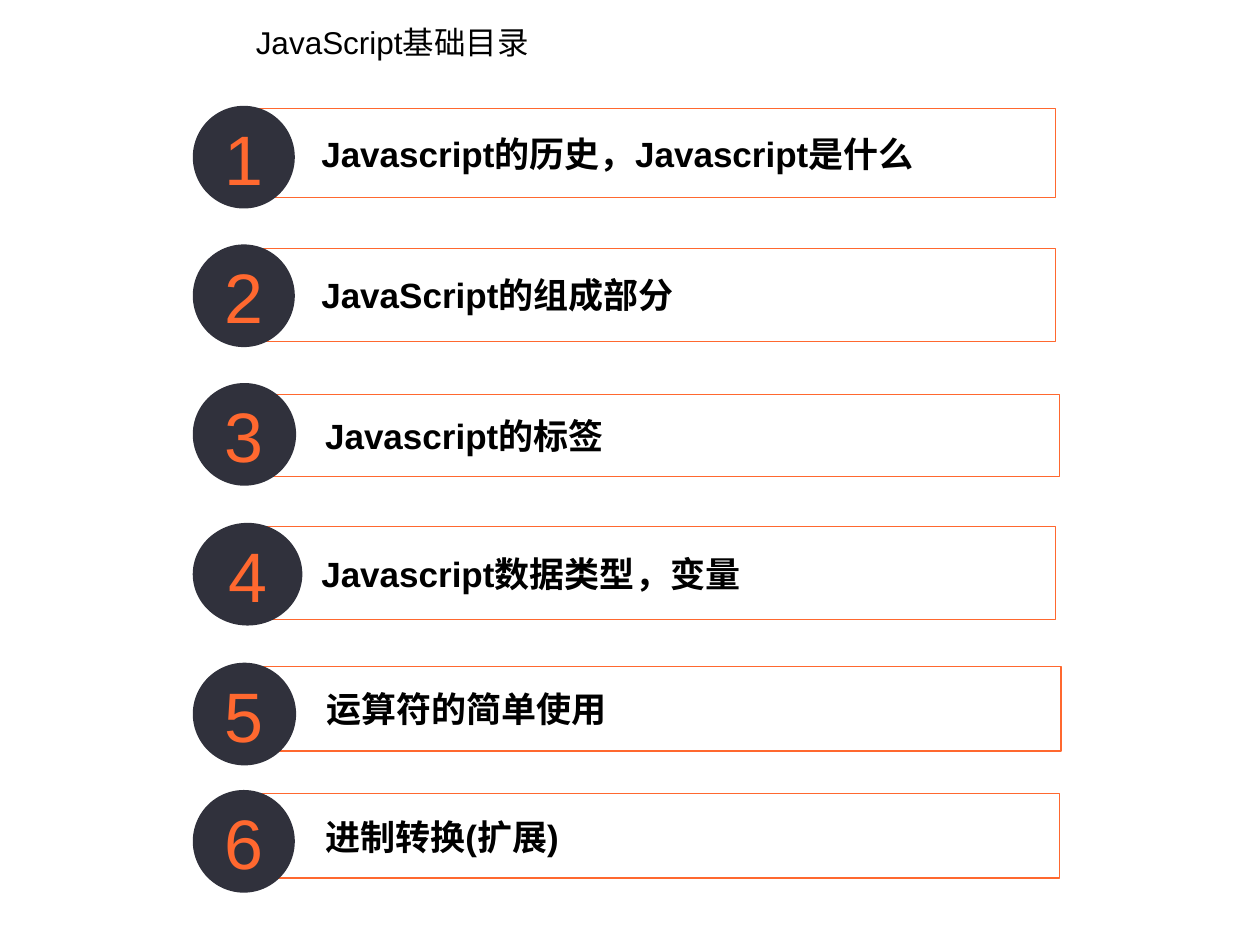
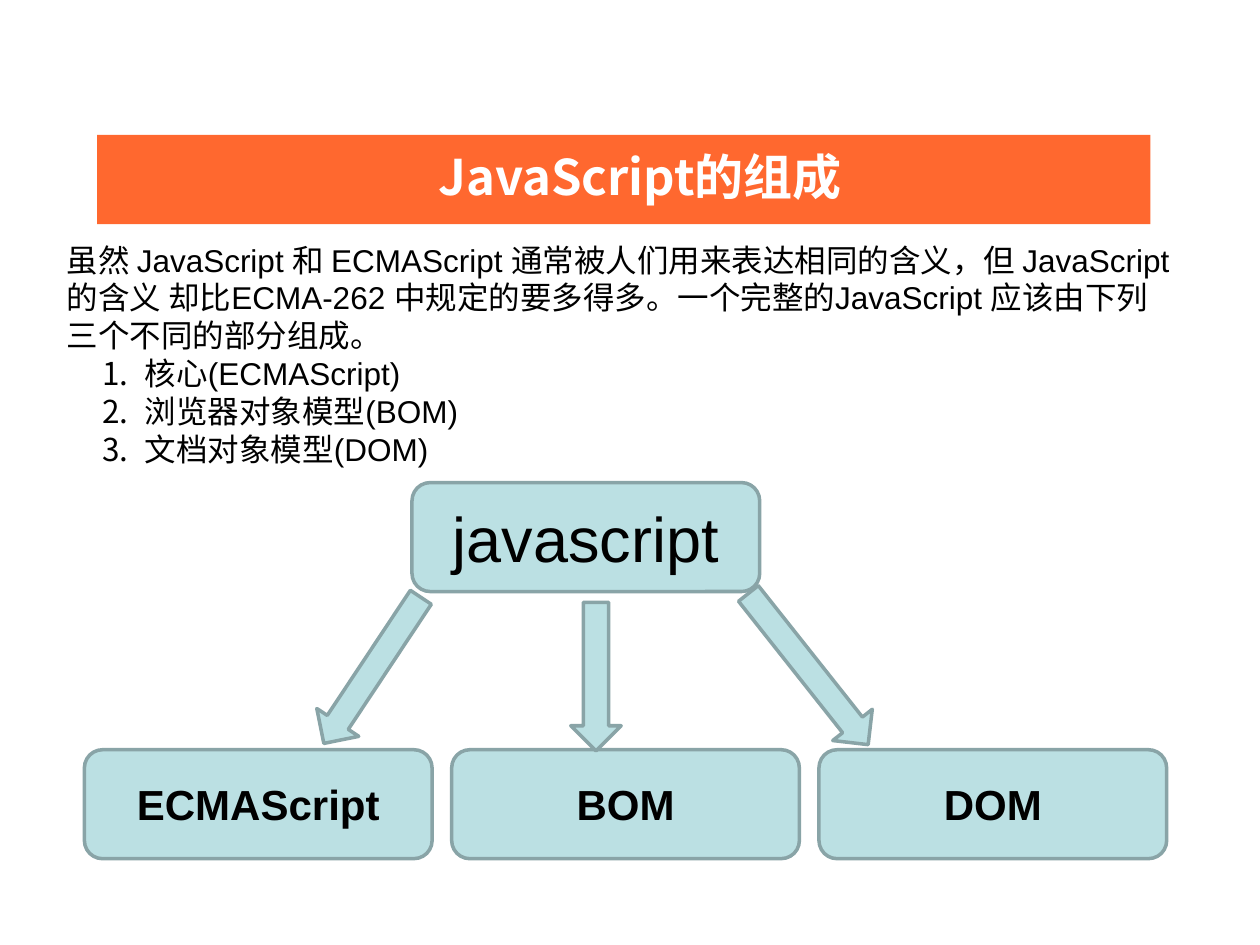
from dataclasses import dataclass
from math import atan2, degrees, hypot

from lxml.etree import SubElement
from pptx import Presentation
from pptx.dml.color import RGBColor
from pptx.enum.shapes import MSO_SHAPE as Shape
from pptx.enum.text import MSO_ANCHOR as Anchor, MSO_AUTO_SIZE as AutoSize, PP_ALIGN as Align
from pptx.oxml.ns import qn
from pptx.util import Emu, Inches, Pt


@dataclass(frozen=True)
class Theme:
    orange: str = "FF682F"
    dark: str = "30313C"
    white: str = "FFFFFF"
    black: str = "000000"
    pale_blue: str = "BBE0E3"
    blue_edge: str = "89A4A7"
    latin: str = "Arial"
    chinese: str = "Noto Sans CJK SC"
    text_size: int = 18
    entry_size: int = 20
    branch_size: int = 24
    heading_size: int = 28
    root_size: int = 36
    number_size: int = 40


THEME = Theme()
WIDTH, HEIGHT = Inches(10), Inches(7.5)
COLUMNS, ROWS = 100, 75  # square grid cells

# Contents entries: label, bar column, bar row, bar height, badge row, badge width
ENTRIES = [
    ("Javascript的历史，Javascript是什么", 19, 8.6, 7.1, 8.4, 8.1),
    ("JavaScript的组成部分", 19, 19.7, 7.4, 19.4, 8.1),
    ("Javascript的标签", 19.3, 31.3, 6.5, 30.4, 8.2),
    ("Javascript数据类型，变量", 19, 41.8, 7.4, 41.5, 8.7),
    ("运算符的简单使用", 19.4, 52.9, 6.7, 52.6, 8.2),
    ("进制转换(扩展)", 19.3, 63, 6.7, 62.7, 8.1),
]
INTRO = ("虽然 JavaScript 和 ECMAScript 通常被人们用来表达相同的含义，但 JavaScript 的含义 "
         "却比ECMA-262 中规定的要多得多。一个完整的JavaScript 应该由下列三个不同的部分组成。")
PARTS = ["核心(ECMAScript)", "浏览器对象模型(BOM)", "文档对象模型(DOM)"]
BRANCHES = ["ECMAScript", "BOM", "DOM"]
# Arrow tail and tip, as (column, row)
ARROWS = [((33.4, 47.4), (25.7, 59)), ((59.4, 47.1), (68.9, 59.1)),
          ((47.3, 47.8), (47.3, 59.6))]


def grid(column, row, columns, rows):
    """Turn grid cells into left, top, width and height."""
    return (Emu(int(WIDTH * column / COLUMNS)), Emu(int(HEIGHT * row / ROWS)),
            Emu(int(WIDTH * columns / COLUMNS)), Emu(int(HEIGHT * rows / ROWS)))


def rgb(color):
    return RGBColor.from_string(color)


def style(paragraph, size, color=THEME.black, bold=False, align=Align.LEFT, latin=THEME.latin):
    paragraph.alignment = align
    paragraph.space_before = Pt(0)
    font = paragraph.font
    font.name, font.size, font.bold = latin, Pt(size), bold
    font.color.rgb = rgb(color)
    defaults = paragraph._p.pPr.find(qn("a:defRPr"))
    SubElement(defaults, qn("a:ea")).set("typeface", THEME.chinese)


def set_frame(frame, anchor, insets=(0.1, 0.05, 0.1, 0.05)):
    frame.auto_size = AutoSize.NONE
    frame.word_wrap = True
    frame.vertical_anchor = anchor
    (frame.margin_left, frame.margin_top,
     frame.margin_right, frame.margin_bottom) = map(Inches, insets)


def move(placeholder, cells):
    (placeholder.left, placeholder.top,
     placeholder.width, placeholder.height) = grid(*cells)


def add_title(slide, text, cells, insets=(0.1, 0.05, 0.1, 0.05), **look):
    title = slide.shapes.title
    move(title, cells)
    title.text_frame.text = text
    set_frame(title.text_frame, Anchor.TOP, insets)
    style(title.text_frame.paragraphs[0], **look)
    return title


def add_block(slide, kind, box, fill, edge=None, edge_width=2):
    block = slide.shapes.add_shape(kind, *box)
    block.shadow.inherit = False
    block.fill.solid()
    block.fill.fore_color.rgb = rgb(fill)
    if edge:
        block.line.color.rgb = rgb(edge)
        block.line.width = Pt(edge_width)
    else:
        block.line.fill.background()
    return block


def label(block, text, insets=(0.1, 0.05, 0.1, 0.05), **look):
    block.text_frame.text = text
    set_frame(block.text_frame, Anchor.MIDDLE, insets)
    style(block.text_frame.paragraphs[0], **look)


def set_opacity(block, percent):
    color = block.fill._xPr.find(qn("a:solidFill"))[0]
    SubElement(color, qn("a:alpha")).set("val", str(percent * 1000))


def add_entry(slide, number, entry):
    text, column, row, height, badge_row, badge_width = entry
    bar = add_block(slide, Shape.RECTANGLE, grid(column, row, 64.8, height),
                    THEME.white, THEME.orange, 0.75)
    set_opacity(bar, 40)
    label(bar, text, (0.65, 0.08, 0.08, 0.08), size=THEME.entry_size, bold=True)
    badge = add_block(slide, Shape.OVAL, grid(15.3, badge_row, badge_width, 8.15), THEME.dark)
    label(badge, str(number), size=THEME.number_size, color=THEME.orange, align=Align.CENTER)


def add_node(slide, text, column, row, **look):
    node = add_block(slide, Shape.ROUNDED_RECTANGLE, grid(column, row, 27.6, 8.65),
                     THEME.pale_blue, THEME.blue_edge)
    label(node, text, align=Align.CENTER, **look)


def add_arrow(slide, tail, tip):
    across, down = tip[0] - tail[0], tip[1] - tail[1]
    length, thickness = hypot(across, down), 4
    middle_column, middle_row = (tail[0] + tip[0]) / 2, (tail[1] + tip[1]) / 2
    box = grid(middle_column - length / 2, middle_row - thickness / 2, length, thickness)
    arrow = add_block(slide, Shape.RIGHT_ARROW, box, THEME.pale_blue, THEME.blue_edge)
    arrow.rotation = degrees(atan2(down, across))


def set_list(paragraph, numbered):
    """Number the paragraph, or take its bullet away."""
    properties = paragraph._p.get_or_add_pPr()
    properties.set("marL", str(Inches(0.62) if numbered else 0))
    properties.set("indent", str(Inches(-0.34) if numbered else 0))
    if numbered:
        SubElement(properties, qn("a:buAutoNum")).set("type", "arabicPeriod")
    else:
        SubElement(properties, qn("a:buNone"))


def add_explanation(slide):
    body = slide.placeholders[1]
    move(body, (4.3, 18.6, 89.9, 19))
    frame = body.text_frame
    set_frame(frame, Anchor.TOP)
    frame.text = "\n".join([INTRO, *PARTS])
    for position, paragraph in enumerate(frame.paragraphs):
        set_list(paragraph, numbered=position > 0)
        style(paragraph, THEME.text_size)


def build_contents(deck):
    slide = deck.slides.add_slide(deck.slide_layouts[5])
    add_title(slide, "JavaScript基础目录", (19.3, 1.3, 31.6, 4), size=THEME.text_size)
    for number, entry in enumerate(ENTRIES, start=1):
        add_entry(slide, number, entry)


def build_composition(deck):
    slide = deck.slides.add_slide(deck.slide_layouts[1])
    # Title on its orange band
    band = add_title(slide, "JavaScript的组成", (7.7, 10.7, 83.6, 7.1), (0.36, 0.09, 0.1, 0),
                     size=THEME.heading_size, color=THEME.white, bold=True,
                     align=Align.CENTER, latin=THEME.chinese)
    band.fill.solid()
    band.fill.fore_color.rgb = rgb(THEME.orange)
    add_explanation(slide)
    # Tree of the three parts
    add_node(slide, "javascript", 32.7, 38.3, size=THEME.root_size)
    for position, branch in enumerate(BRANCHES):
        add_node(slide, branch, 6.7 + 29.15 * position, 59.5, size=THEME.branch_size, bold=True)
    for tail, tip in ARROWS:
        add_arrow(slide, tail, tip)


def main():
    deck = Presentation()
    deck.slide_width, deck.slide_height = WIDTH, HEIGHT
    build_contents(deck)
    build_composition(deck)
    deck.save("out.pptx")


if __name__ == "__main__":
    main()
